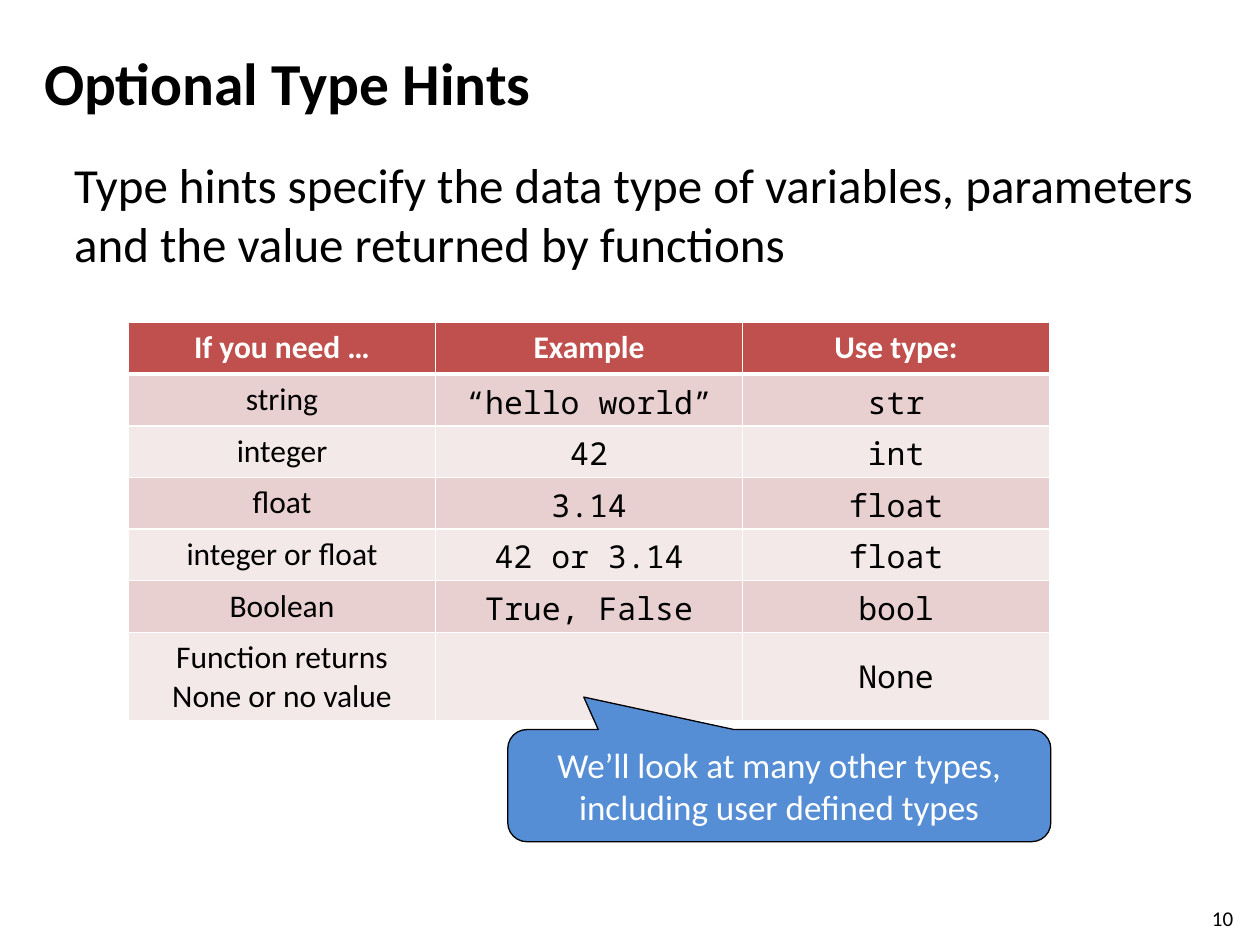
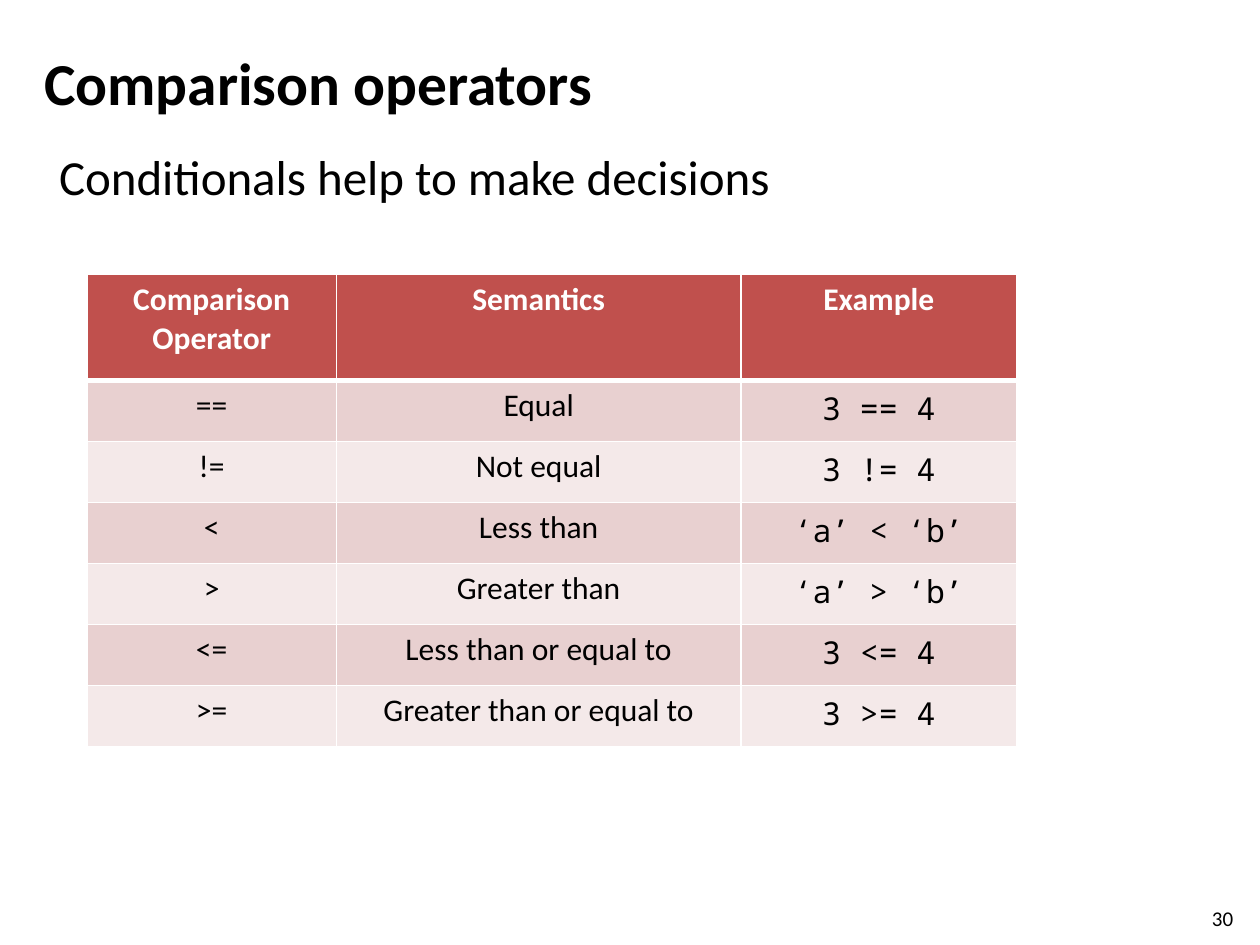
from dataclasses import dataclass

from lxml import etree
from pptx import Presentation
from pptx.dml.color import RGBColor
from pptx.enum.shapes import MSO_SHAPE
from pptx.enum.text import MSO_ANCHOR, PP_ALIGN
from pptx.oxml.ns import qn
from pptx.util import Inches, Pt

LEFT, CENTER = PP_ALIGN.LEFT, PP_ALIGN.CENTER
TOP, MIDDLE = MSO_ANCHOR.TOP, MSO_ANCHOR.MIDDLE
CALLOUT = MSO_SHAPE.ROUNDED_RECTANGULAR_CALLOUT
WIDTH, HEIGHT = Inches(10), Inches(7.5)
COLS, ROWS = 100, 75
TITLE_ONLY = 5


@dataclass(frozen=True)
class Theme:
    sans: str = "Calibri"
    mono: str = "Noto Sans Mono"
    ink: str = "000000"
    paper: str = "FFFFFF"
    head: str = "C0504D"
    bands: tuple = ("E8D0D0", "F4E9E9")
    note: str = "558ED5"
    title: int = 34
    body: int = 28
    call: int = 20
    cell: int = 18
    page: int = 12


THEME = Theme()

TYPES = [
    ("If you need …", "Example", "Use type:"),
    ("string", "“hello world”", "str"),
    ("integer", "42", "int"),
    ("float", "3.14", "float"),
    ("integer or float", "42 or 3.14", "float"),
    ("Boolean", "True, False", "bool"),
    ("Function returns None or no value", "", "None"),
]

TESTS = [
    ("Comparison\nOperator", "Semantics", "Example"),
    ("==", "Equal", "3 == 4"),
    ("!=", "Not equal", "3 != 4"),
    ("<", "Less than", "‘a’ < ‘b’"),
    (">", "Greater than", "‘a’ > ‘b’"),
    ("<=", "Less than or equal to", "3 <= 4"),
    (">=", "Greater than or equal to", "3 >= 4"),
]


def across(cols):
    return round(WIDTH * cols / COLS)


def down(rows):
    return round(HEIGHT * rows / ROWS)


def place(x, y, w, h):
    return across(x), down(y), across(w), down(h)


def paint(fill, color):
    fill.solid()
    fill.fore_color.rgb = RGBColor.from_string(color)


def write(frame, text, size, color=THEME.ink, face=THEME.sans,
          bold=False, align=LEFT):
    frame.text = text
    frame.word_wrap = True
    for para in frame.paragraphs:
        para.alignment = align
        font = para.font
        font.name, font.size, font.bold = face, Pt(size), bold
        font.color.rgb = RGBColor.from_string(color)


def add_text(slide, spot, text, size, after=0):
    frame = slide.shapes.add_textbox(*place(*spot)).text_frame
    write(frame, text, size)
    frame.paragraphs[0].space_after = Pt(after)


def add_page(deck, title, number):
    slide = deck.slides.add_slide(deck.slide_layouts[TITLE_ONLY])
    head = slide.shapes.title
    head.left, head.top, head.width, head.height = place(2.5, 3, 86.7, 7)
    write(head.text_frame, title, THEME.title, bold=True)
    head.text_frame.vertical_anchor = MIDDLE
    add_text(slide, (95.2, 71.4, 4, 2.4), number, THEME.page)
    return slide


def edge(cell, **widths):
    props = cell._tc.get_or_add_tcPr()
    for side in "LRTB":
        width = Pt(widths.get(side, 1))
        line = etree.SubElement(props, qn(f"a:ln{side}"), w=str(width))
        fill = etree.SubElement(line, qn("a:solidFill"))
        etree.SubElement(fill, qn("a:srgbClr"), val=THEME.paper)


def add_grid(slide, x, y, widths, heights, data, codes):
    spot = place(x, y, sum(widths), sum(heights))
    grid = slide.shapes.add_table(len(data), len(widths), *spot).table
    for col, width in zip(grid.columns, widths):
        col.width = across(width)
    for row, height in zip(grid.rows, heights):
        row.height = down(height)
    for r, texts in enumerate(data):
        for c, text in enumerate(texts):
            cell = grid.cell(r, c)
            if r == 0:
                edge(cell, B=3)
                paint(cell.fill, THEME.head)
                write(cell.text_frame, text, THEME.cell, THEME.paper,
                      bold=True, align=CENTER)
            else:
                edge(cell, T=3 if r == 1 else 1)
                paint(cell.fill, THEME.bands[(r - 1) % 2])
                face = THEME.mono if c in codes else THEME.sans
                write(cell.text_frame, text, THEME.cell, face=face,
                      align=CENTER)
            cell.vertical_anchor = TOP
    return grid


def add_call(slide, spot, text, tip):
    call = slide.shapes.add_shape(CALLOUT, *place(*spot))
    call.shadow.inherit = False
    for i, value in enumerate(tip):
        call.adjustments[i] = value
    paint(call.fill, THEME.note)
    paint(call.line.fill, THEME.ink)
    call.line.width = Pt(0.75)
    write(call.text_frame, text, THEME.call, THEME.paper, align=CENTER)
    call.text_frame.vertical_anchor = MIDDLE


def show_hints(deck):
    slide = add_page(deck, "Optional Type Hints", "10")
    grid = add_grid(slide, 10.2, 25.6, [24.37] * 3, [4.1] * len(TYPES),
                    TYPES, (1, 2))
    grid.cell(len(TYPES) - 1, 2).vertical_anchor = MIDDLE
    add_text(slide, (4.9, 11.8, 91.8, 24.3),
             "Type hints specify the data type of variables, parameters "
             "and the value returned by functions", THEME.body, 12)
    add_call(slide, (40.3, 57.9, 43.1, 8.9),
             "We’ll look at many other types, including user defined types",
             (-0.36, -0.79, 0.17))


def show_tests(deck):
    slide = add_page(deck, "Comparison operators", "30")
    add_text(slide, (3.7, 11.1, 92.5, 49.3),
             "Conditionals help to make decisions", THEME.body, 12)
    heights = [8.4] + [4.84] * (len(TESTS) - 1)
    add_grid(slide, 6.9, 21.8, [19.8, 32.1, 21.9], heights, TESTS, (2,))


def main():
    deck = Presentation()
    deck.slide_width, deck.slide_height = WIDTH, HEIGHT
    show_hints(deck)
    show_tests(deck)
    deck.save("out.pptx")


if __name__ == "__main__":
    main()
